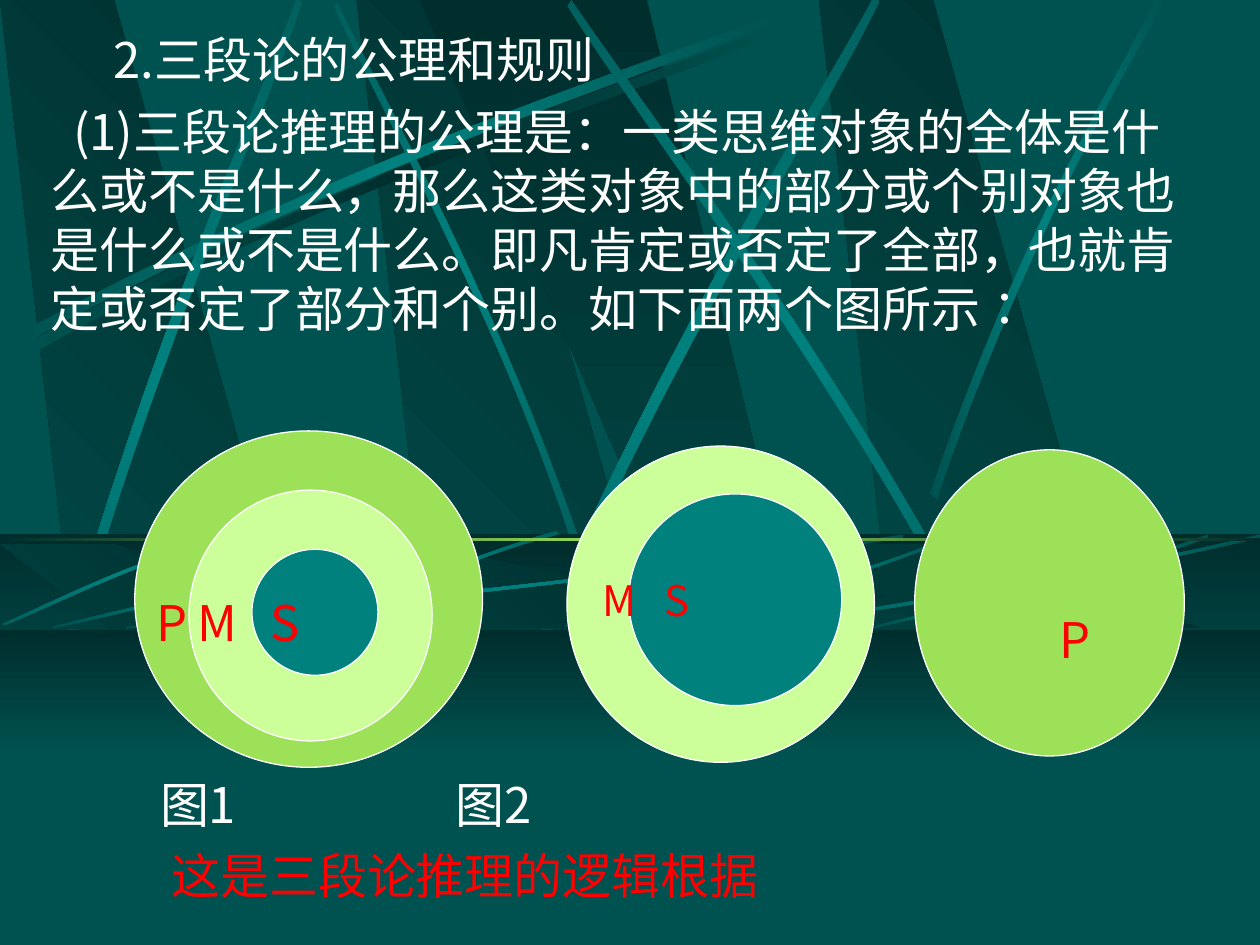
from dataclasses import dataclass

from lxml.etree import SubElement as Sub
from pptx import Presentation
from pptx.dml.color import RGBColor
from pptx.enum.shapes import MSO_SHAPE as Kind
from pptx.enum.text import MSO_ANCHOR as Anchor, PP_ALIGN as Align
from pptx.oxml.ns import qn
from pptx.util import Inches, Pt

# A grid of 10 columns by 7.5 rows, one inch each
WIDE, HIGH, UNIT = 10, 7.5, Inches(1)
FONT = "Noto Sans CJK SC"
DARK, BASE, TEAL = "002E2D", "005250", "00817E"
LEAF, LIME, WHITE, RED = "9CE157", "CCFF99", "FFFFFF", "FF0000"
SHADE, GLOW, DIM = (DARK, BASE), (BASE, TEAL, BASE), (BASE, DARK, BASE)

# Outlines as shares of their box; a ray is two cubic curves
SLAB = [(0.285, 1), (1, 1), (0.3, 0), (0, 0)]
WEDGE = [(0, 0), (0.9, 1), (1, 1), (0.5, 0)]
THIN = [(0, 0.96), (0.43, 0.43), (0.83, 0.15), (1, 0),
        (1, 0.02), (0.83, 0.19), (0.38, 0.5), (0, 1)]
FAT = [(0, 0.99), (0.4, 0.44), (0.79, 0.16), (0.95, 0),
       (1, 0), (0.52, 0.37), (0.16, 0.81), (0.03, 1)]


@dataclass
class Box:
    x: float
    y: float
    w: float
    h: float


@dataclass
class Ray:
    box: Box
    turn: float = 0
    flip: str = ""
    tones: tuple = GLOW


@dataclass
class Disc:
    box: Box
    tone: str


@dataclass
class Label:
    """A bar in the text marks a wide gap, wider by some space widths."""
    box: Box
    text: str
    size: int
    extra: int = 0


@dataclass
class Line:
    text: str
    indent: float
    gap: float
    tone: str = WHITE
    extra: int = 0


TOP_RAYS = [
    Ray(Box(0.2, 0.17, 6.08, 2.67), tones=DIM),
    Ray(Box(1.41, 1.33, 4.42, 1.75), 45, "h"),
    Ray(Box(0.14, 0.09, 6.08, 2.67)),
    Ray(Box(-1.71, 1.81, 6.08, 2.67), 311.7),
    Ray(Box(2.31, 1.58, 6.24, 3.01), 321.6),
    Ray(Box(3.23, 1.5, 6.08, 2.67), 34.8, "h"),
]
TALL_RAY = Ray(Box(7.38, -0.01, 1.89, 3.97))
LOW_RAYS = [Ray(Box(4.48, 4.25, 1.8, 0.73), flip="hv")]
LOW_RAYS += [Ray(Box(x, 4.18, 1.83, 0.83), 314.9, "h") for x in (2.58, 1.33, 0.05)]
LOW_RAYS += [Ray(Box(x, 4.24, w, 0.75), flip="hv")
             for x, w in ((1, 6.17), (0.42, 2.67), (5.27, 2.31), (6.92, 2.67), (6, 4))]

DISCS = [
    Disc(Box(1.07, 3.42, 2.76, 2.67), LEAF),
    Disc(Box(1.5, 3.89, 1.93, 1.99), LIME),
    Disc(Box(2, 4.36, 1, 1), TEAL),
    Disc(Box(4.5, 3.54, 2.44, 2.51), LIME),
    Disc(Box(4.99, 3.92, 1.69, 1.68), TEAL),
    Disc(Box(7.26, 3.57, 2.14, 2.43), LEAF),
]
LABELS = [
    Label(Box(1.14, 4.65, 1.6, 0.6), "P M|S", 28, 2),
    Label(Box(4.68, 4.51, 1.2, 0.55), "M|S", 24, 2),
    Label(Box(8.31, 4.79, 0.45, 0.6), "P", 28),
]
LINES = [
    Line("2.三段论的公理和规则", 0.5, 0),
    Line("(1)三段论推理的公理是：一类思维对象的全体是什么或不是什么，"
         "那么这类对象中的部分或个别对象也是什么或不是什么。"
         "即凡肯定或否定了全部，也就肯定或否定了部分和个别。如下面两个图所示∶", 0.18, 7),
    Line("图1|图2", 0.87, 250, extra=19),
    Line("这是三段论推理的逻辑根据", 0.96, 7, RED),
]


def hue(code: str) -> RGBColor:
    return RGBColor.from_string(code)


def span(box: Box) -> list:
    return [round(v * UNIT) for v in (box.x, box.y, box.w, box.h)]


def blend(shape, tones: tuple, angle: int) -> None:
    """Fill with evenly spaced gradient stops and no line."""
    shape.shadow.inherit = False
    shape.line.fill.background()
    shape.fill.gradient()
    grad = shape.fill._fill._gradFill
    stops = grad.find(qn("a:gsLst"))
    for old in list(stops):
        stops.remove(old)
    for i, tone in enumerate(tones):
        stop = Sub(stops, qn("a:gs"), pos=str(100000 * i // (len(tones) - 1)))
        Sub(stop, qn("a:srgbClr"), val=tone)
    lin = grad.find(qn("a:lin"))
    lin.set("ang", str(angle * 60000))
    lin.set("scaled", "0")


def outline(shapes, box: Box, pts: list):
    spots = [(round((box.x + u * box.w) * UNIT), round((box.y + v * box.h) * UNIT))
             for u, v in pts]
    pen = shapes.build_freeform(*spots[0])
    pen.add_line_segments(spots[1:], close=True)
    return pen.convert_to_shape()


def draw_ray(shapes, ray: Ray, pts: list) -> None:
    shape = outline(shapes, ray.box,
                    [(1 - u if "h" in ray.flip else u, 1 - v if "v" in ray.flip else v)
                     for u, v in pts])
    # Turn each long side from three lines into one curve
    lines = list(shape._element.iter(qn("a:lnTo")))
    for first, *rest in (lines[:3], lines[4:7]):
        first.tag = qn("a:cubicBezTo")
        for line in rest:
            first.append(line[0])
            line.getparent().remove(line)
    shape.rotation = ray.turn
    blend(shape, ray.tones, 180)


def draw_slabs(shapes, y: float, h: float) -> None:
    for x in (2.83, 0, 6.5):
        blend(outline(shapes, Box(x, y, 3.02, h), SLAB), SHADE, 135)
    blend(outline(shapes, Box(3.33, y, 3.61, h), WEDGE), SHADE, 90)


def draw_band(shapes, y: float, h: float, tones: tuple, angle: int = 90) -> None:
    blend(shapes.add_shape(Kind.RECTANGLE, *span(Box(0, y, WIDE, h))), tones, angle)


def draw_plain(shapes, box: Box, kind: Kind, tone: str):
    shape = shapes.add_shape(kind, *span(box))
    shape.shadow.inherit = False
    shape.fill.solid()
    shape.fill.fore_color.rgb = hue(tone)
    shape.line.fill.background()
    return shape


def draw_disc(shapes, disc: Disc) -> None:
    line = draw_plain(shapes, disc.box, Kind.OVAL, disc.tone).line
    line.color.rgb = hue(WHITE)
    line.width = Pt(0.75)


def write(para, text: str, size: int, tone: str, extra: int, indent: float = 0) -> None:
    left, bar, right = text.partition("|")
    para.add_run().text = left
    if bar:
        gap = para.add_run()
        gap.text = " "
        gap._r.get_or_add_rPr().set("spc", str(round(extra * 22.4 * size)))
        para.add_run().text = right
    para.alignment = Align.LEFT
    props = para._p.get_or_add_pPr()
    props.set("marL", "0")
    props.set("indent", str(round(indent * UNIT)))
    Sub(props, qn("a:buNone"))
    font = para.font
    font.size, font.name, font.color.rgb = Pt(size), FONT, hue(tone)
    Sub(props.find(qn("a:defRPr")), qn("a:ea"), typeface=FONT)


def draw_label(shapes, label: Label) -> None:
    frame = shapes.add_textbox(*span(label.box)).text_frame
    frame.word_wrap = True
    write(frame.paragraphs[0], label.text, label.size, RED, label.extra)


def fill_body(body) -> None:
    body.left, body.top, body.width, body.height = span(Box(0.3, 0.64, 9.25, 6.65))
    frame = body.text_frame
    frame.word_wrap, frame.vertical_anchor = True, Anchor.BOTTOM
    frame.margin_bottom = Inches(0.11)
    for i, line in enumerate(LINES):
        para = frame.add_paragraph() if i else frame.paragraphs[0]
        para.line_spacing, para.space_before = Pt(33.7), Pt(line.gap)
        write(para, line.text, 28, line.tone, line.extra, line.indent)


def main() -> None:
    deck = Presentation()
    deck.slide_width, deck.slide_height = WIDE * UNIT, round(HIGH * UNIT)
    slide = deck.slides.add_slide(deck.slide_layouts[0])
    slide.background.fill.solid()
    slide.background.fill.fore_color.rgb = hue(BASE)
    shapes = slide.shapes
    title, body = slide.placeholders
    title._element.getparent().remove(title._element)

    # Backdrop: wall, horizon and floor
    back = shapes.add_group_shape().shapes
    draw_slabs(back, 0, HIGH)
    for ray in TOP_RAYS:
        draw_ray(back, ray, THIN)
    draw_ray(back, TALL_RAY, FAT)
    draw_band(back, 4.24, 0.75, SHADE)
    draw_slabs(back, 4.32, 0.66)
    veil = draw_plain(back, Box(0, 4.26, WIDE, 0.75), Kind.RECTANGLE, DARK)
    Sub(veil._element.spPr.find(qn("a:solidFill"))[0], qn("a:alpha"), val="50000")
    for ray in LOW_RAYS:
        draw_ray(back, ray, THIN)
    draw_band(back, 4.27, 0.02, (DARK, LEAF, DARK), 180)
    draw_band(back, 5, 1, SHADE)
    draw_plain(back, Box(0, 5.92, WIDE, 1.58), Kind.RECTANGLE, BASE)

    # Text above the backdrop, then the two figures
    shapes._spTree.append(body._element)
    fill_body(body)
    for disc in DISCS:
        draw_disc(shapes, disc)
    for label in LABELS:
        draw_label(shapes, label)
    deck.save("out.pptx")


if __name__ == "__main__":
    main()
